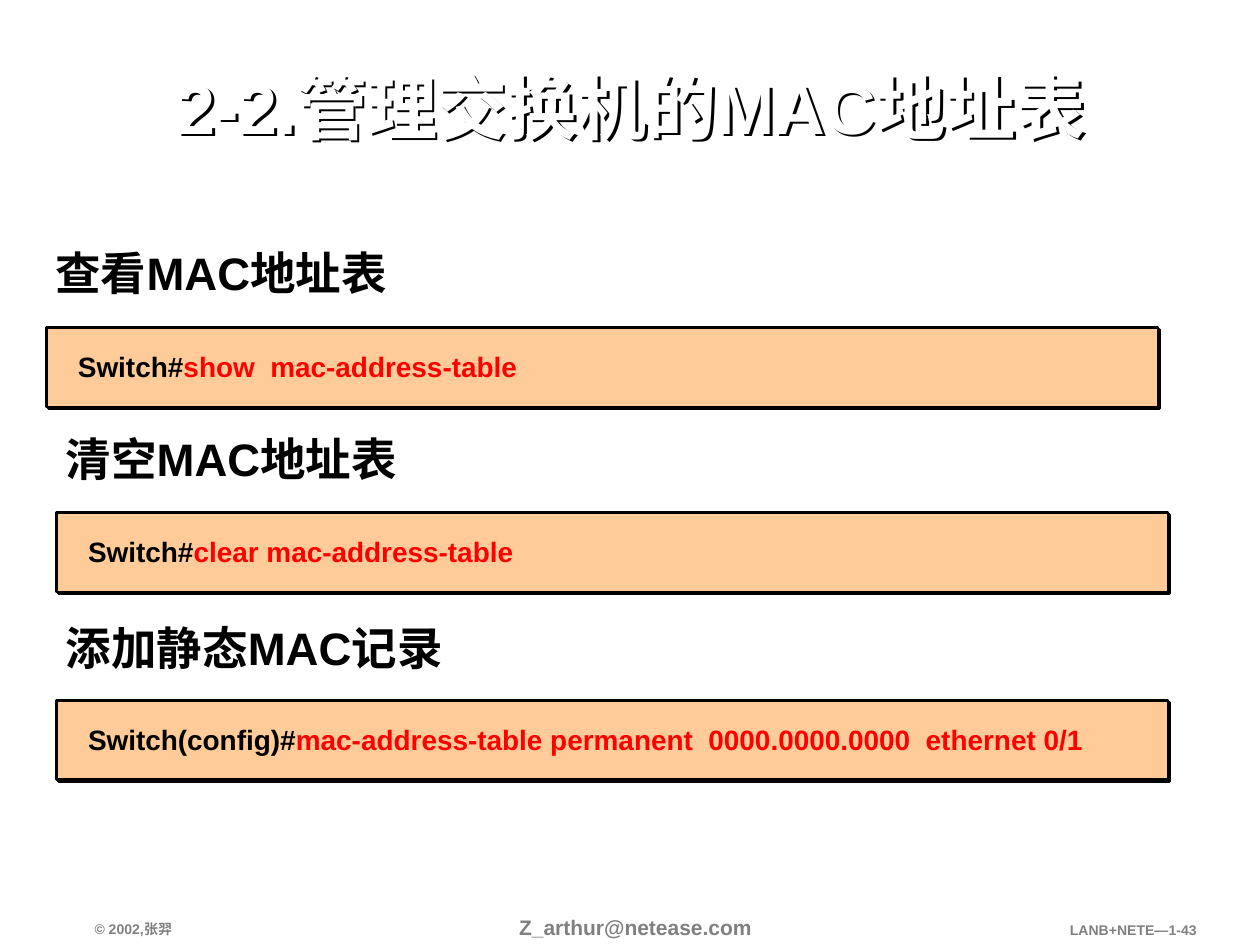
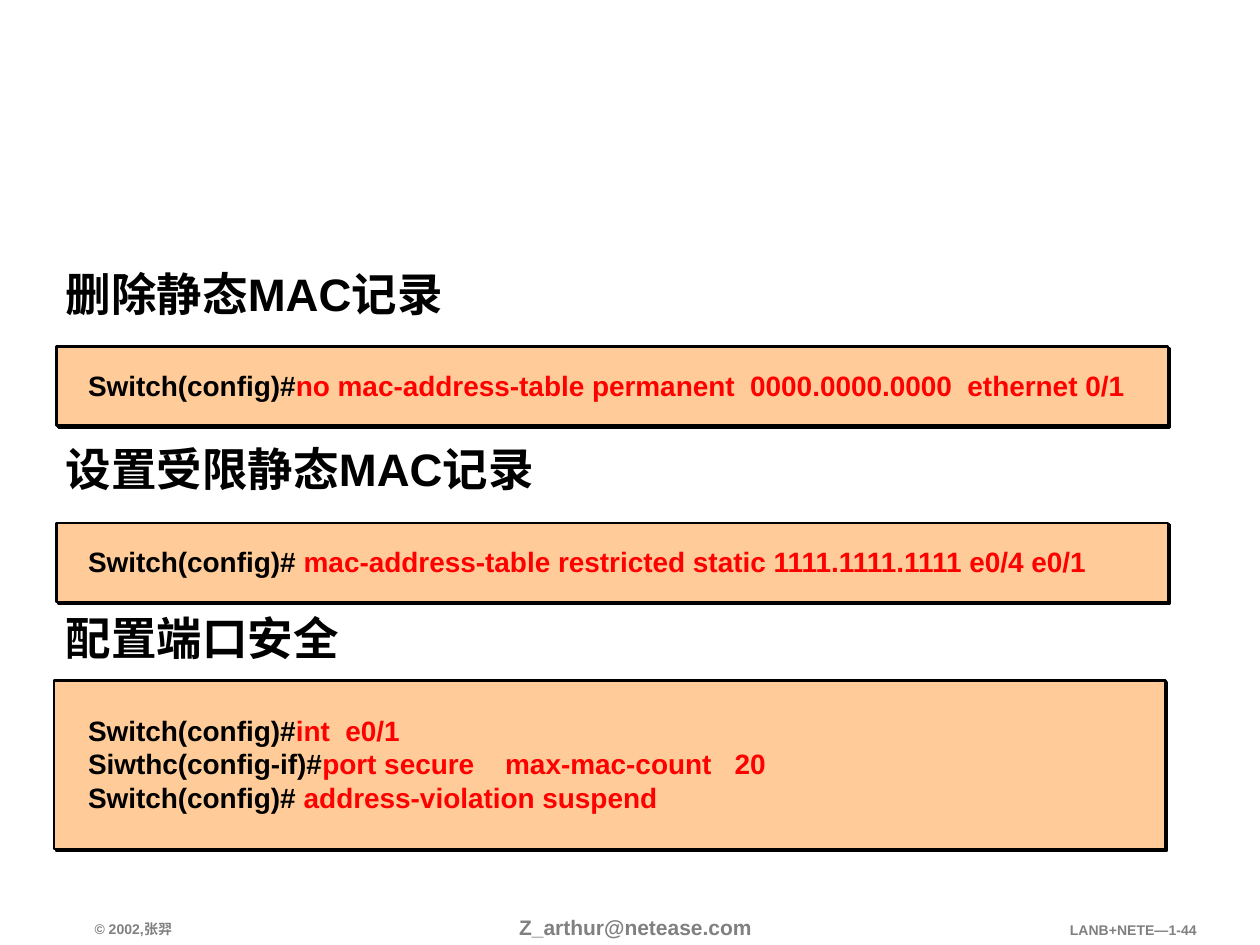
from lxml import etree
from pptx import Presentation
from pptx.dml.color import RGBColor
from pptx.enum.shapes import MSO_SHAPE
from pptx.enum.text import MSO_ANCHOR, PP_ALIGN
from pptx.oxml.ns import qn
from pptx.util import Inches, Pt

RECT = MSO_SHAPE.RECTANGLE
TOP, MIDDLE, BOTTOM = MSO_ANCHOR.TOP, MSO_ANCHOR.MIDDLE, MSO_ANCHOR.BOTTOM
LEFT, CENTER, RIGHT = PP_ALIGN.LEFT, PP_ALIGN.CENTER, PP_ALIGN.RIGHT

FONT = "Arial"
BLACK, WHITE, GRAY = "000000", "FFFFFF", "808080"
RED, PEACH = "FF0000", "FFCC99"

# Content: each step has a heading (left, top), a box (left, top, height)
# and command lines (prompt, command)
PAGES = [
    {
        "number": 43,
        "title": "2-2.管理交换机的MAC地址表",
        "steps": [
            ("查看MAC地址表", (0.35, 1.94), (0.37, 2.6, 0.63),
             [("Switch#", "show  mac-address-table")]),
            ("清空MAC地址表", (0.43, 3.41), (0.45, 4.07, 0.63),
             [("Switch#", "clear mac-address-table")]),
            ("添加静态MAC记录", (0.43, 4.91), (0.45, 5.56, 0.63),
             [("Switch(config)#",
               "mac-address-table permanent  0000.0000.0000  ethernet 0/1")]),
        ],
    },
    {
        "number": 44,
        "title": None,
        "steps": [
            ("删除静态MAC记录", (0.43, 2.1), (0.45, 2.75, 0.63),
             [("Switch(config)#",
               "no mac-address-table permanent  0000.0000.0000  ethernet 0/1")]),
            ("设置受限静态MAC记录", (0.43, 3.49), (0.45, 4.15, 0.63),
             [("Switch(config)# ",
               "mac-address-table restricted static 1111.1111.1111 e0/4 e0/1")]),
            ("配置端口安全", (0.43, 4.83), (0.43, 5.4, 1.34),
             [("Switch(config)#", "int  e0/1"),
              ("Siwthc(config-if)#", "port secure    max-mac-count   20"),
              ("Switch(config)# ", "address-violation suspend")]),
        ],
    },
]


def color(code):
    return RGBColor.from_string(code)


def add_shade(shape, dist):
    """Give a shape a hard black shadow to the lower right."""
    props = shape._element.spPr
    for old in props.findall(qn("a:effectLst")):
        props.remove(old)
    effects = etree.SubElement(props, qn("a:effectLst"))
    shade = etree.SubElement(effects, qn("a:outerShdw"), blurRad="0",
                             dist=str(Pt(dist)), dir="2700000",
                             algn="ctr", rotWithShape="0")
    etree.SubElement(shade, qn("a:srgbClr"), val=BLACK)


def add_text(slide, place, lines, size, tint=BLACK, anchor=TOP, align=LEFT,
             wrap=True, pad=(0.09, 0.04), space=None):
    """Each line is a list of (text, colour or None) runs."""
    box = slide.shapes.add_textbox(*map(Inches, place))
    frame = box.text_frame
    frame.word_wrap = wrap
    frame.vertical_anchor = anchor
    frame.margin_left = frame.margin_right = Inches(pad[0])
    frame.margin_top = frame.margin_bottom = Inches(pad[1])
    for i, runs in enumerate(lines):
        para = frame.add_paragraph() if i else frame.paragraphs[0]
        para.alignment = align
        para.line_spacing = space
        font = para.font
        font.name, font.size, font.bold = FONT, Pt(size), True
        font.color.rgb = color(tint)
        for text, hue in runs:
            run = para.add_run()
            run.text = text
            if hue:
                run.font.color.rgb = color(hue)
    return box


def add_label(slide, place, text, size, tint=BLACK, **style):
    return add_text(slide, place, [[(text, None)]], size, tint, **style)


def add_footer(slide, number):
    add_label(slide, (0.66, 7.26, 0.85, 0.22), "© 2002,张羿", 8, GRAY,
              anchor=BOTTOM, wrap=False)
    add_label(slide, (4.04, 7.22, 2.07, 0.28), "Z_arthur@netease.com", 12,
              GRAY, pad=(0.08, 0.04))
    add_label(slide, (8.36, 7.27, 1.23, 0.22), f"LANB+NETE—1-{number}", 8,
              GRAY, align=RIGHT)


def add_step(slide, head, spot, box, lines):
    # Heading
    add_label(slide, (*spot, 8.99, 0.58), head, 26, space=0.95)

    # Command box
    left, top, height = box
    rect = slide.shapes.add_shape(
        RECT, *map(Inches, (left, top, 8.82, height)))
    rect.fill.solid()
    rect.fill.fore_color.rgb = color(PEACH)
    rect.line.color.rgb = color(BLACK)
    rect.line.width = Pt(1.5)
    add_shade(rect, 1.4)

    # Commands, centred just above the middle of the box
    tall = 0.24 * len(lines)
    start = top + (height - tall) / 2 - 0.01
    runs = [[(prompt, None), (order, RED)] for prompt, order in lines]
    add_text(slide, (spot[0] + 0.17, start, 8.65, tall), runs, 16,
             anchor=MIDDLE, pad=(0.1, 0.05))


def main():
    deck = Presentation()
    deck.slide_width, deck.slide_height = Inches(10), Inches(7.5)
    for page in PAGES:
        slide = deck.slides.add_slide(deck.slide_layouts[6])
        add_footer(slide, page["number"])
        if page["title"]:
            title = add_label(slide, (0.84, 0.26, 8.34, 1.25), page["title"],
                              40, WHITE, anchor=MIDDLE, align=CENTER,
                              space=0.9)
            add_shade(title, 2)
        for step in page["steps"]:
            add_step(slide, *step)
    deck.save("out.pptx")


if __name__ == "__main__":
    main()
